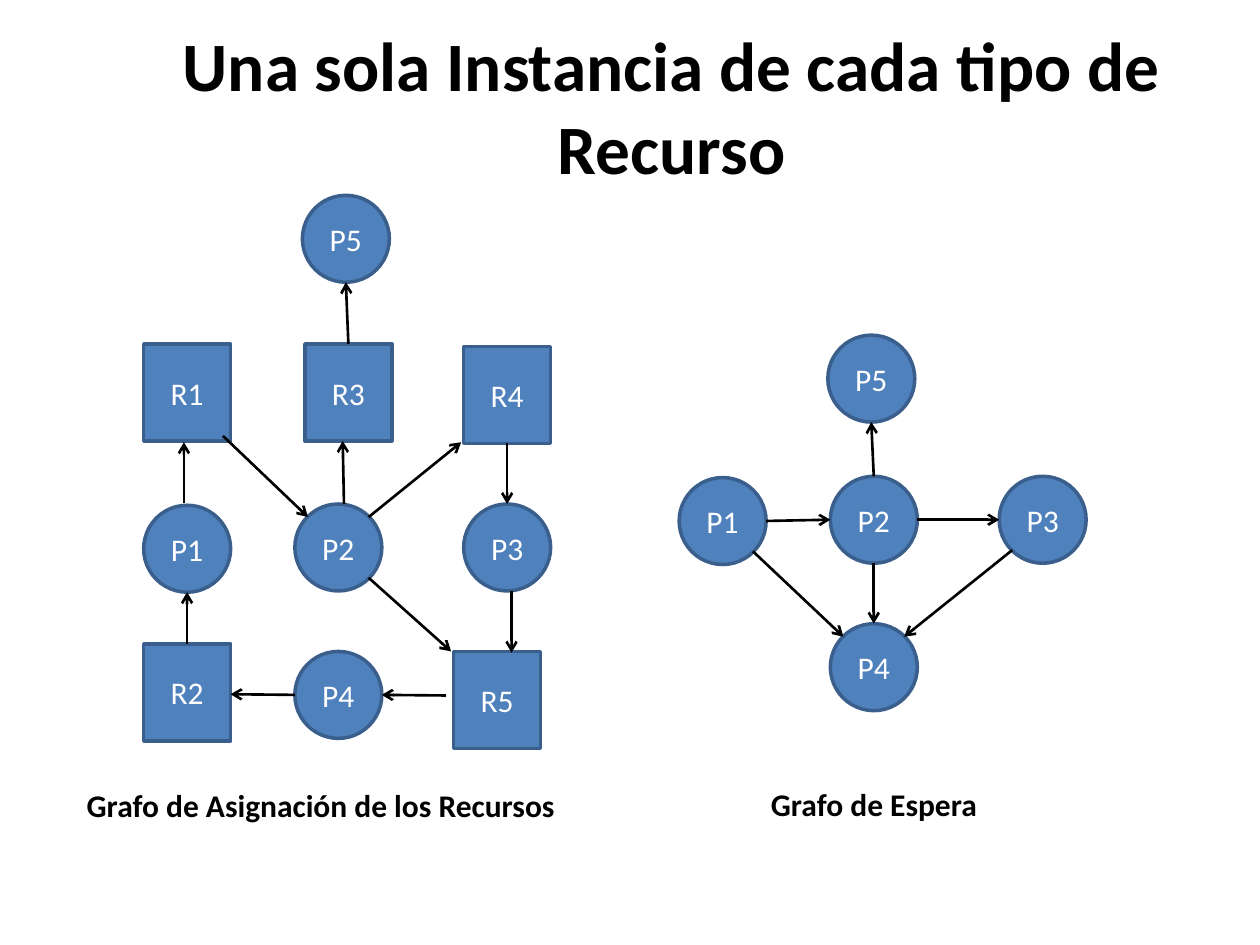
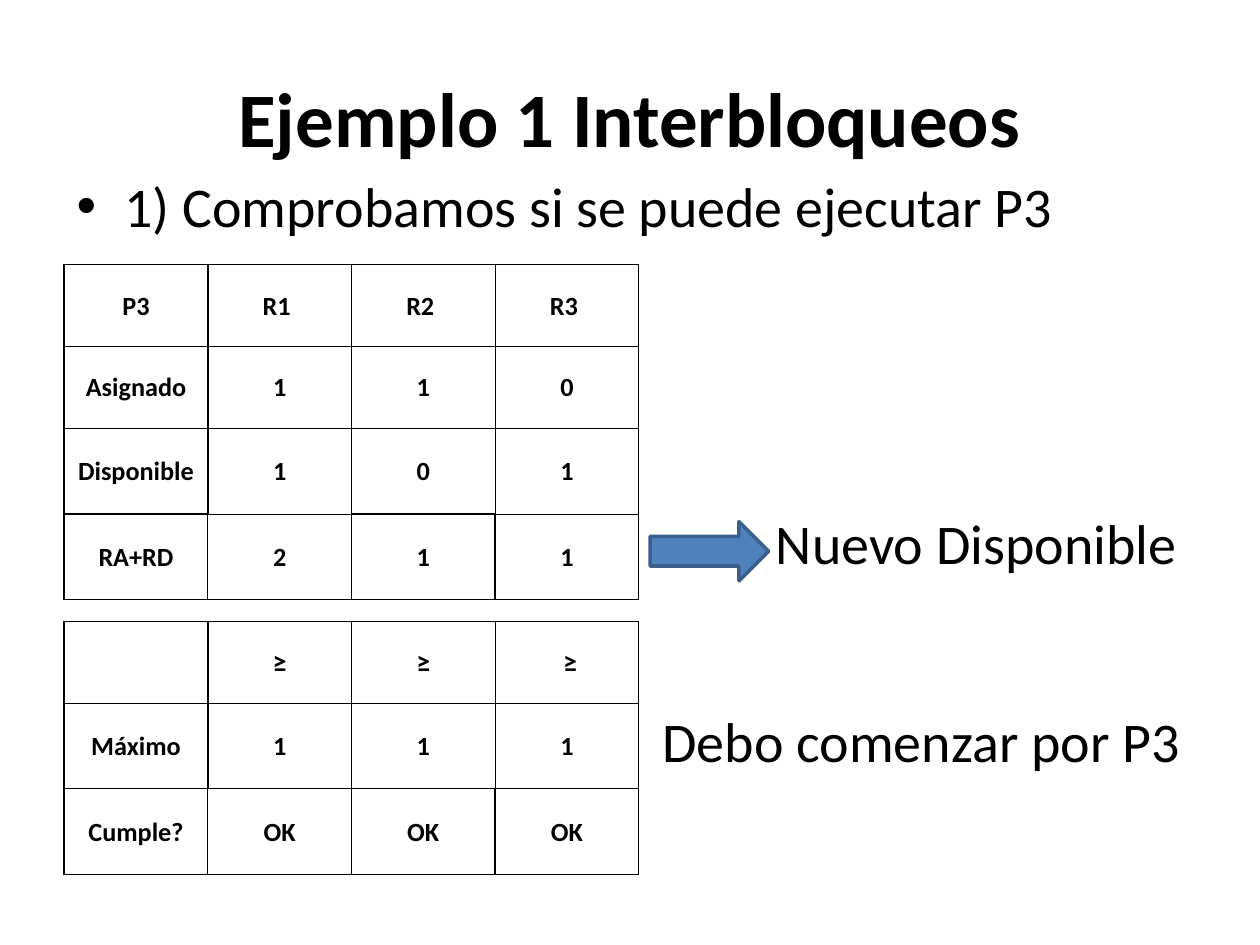
from lxml import etree
from pptx import Presentation
from pptx.dml.color import RGBColor
from pptx.enum.shapes import MSO_CONNECTOR, MSO_SHAPE
from pptx.enum.text import MSO_ANCHOR, PP_ALIGN
from pptx.oxml.ns import qn
from pptx.util import Inches, Pt

COLORS = {"text": "000000", "white": "FFFFFF", "fill": "4F81BD", "outline": "3A5F8C"}
FONT = "Calibri"
NODE_W = 0.69
RESOURCE_H = 0.77
DIAGONAL = 0.35  # share of a circle's diameter from its centre to a 45° point
SIDES = {"t": (0, -0.5), "b": (0, 0.5), "l": (-0.5, 0), "r": (0.5, 0),
         "tl": (-DIAGONAL, -DIAGONAL), "tr": (DIAGONAL, -DIAGONAL),
         "bl": (-DIAGONAL, DIAGONAL), "br": (DIAGONAL, DIAGONAL)}


def rgb(name):
    return RGBColor.from_string(COLORS[name])


def write(tf, text, size=18, bold=False, color="text", align=PP_ALIGN.LEFT,
          anchor=MSO_ANCHOR.TOP, bullet=False):
    tf.word_wrap = True
    tf.vertical_anchor = anchor
    p = tf.paragraphs[0]
    p.alignment = align
    if bullet:
        pPr = p._p.get_or_add_pPr()
        pPr.set("marL", str(Inches(0.38)))
        pPr.set("indent", str(-Inches(0.38)))
        etree.SubElement(pPr, qn("a:buFont"), typeface="Arial")
        etree.SubElement(pPr, qn("a:buChar"), char="•")
    r = p.add_run()
    r.text = text
    r.font.name, r.font.size, r.font.bold = FONT, Pt(size), bold
    r.font.color.rgb = rgb(color)


def set_border(cell, side, width):
    ln = etree.SubElement(cell._tc.get_or_add_tcPr(), qn(f"a:ln{side}"), w=str(Pt(width)))
    fill = etree.SubElement(ln, qn("a:solidFill"))
    etree.SubElement(fill, qn("a:srgbClr"), val=COLORS["text"])


class Deck:
    def __init__(self):
        self.prs = Presentation()
        self.prs.slide_width, self.prs.slide_height = Inches(10), Inches(7.5)
        self.s = None

    def slide(self, title, x, y, size):
        self.s = self.prs.slides.add_slide(self.prs.slide_layouts[6])
        self.text(title, x, y, 9, 1.25, size=size, bold=True,
                  align=PP_ALIGN.CENTER, anchor=MSO_ANCHOR.MIDDLE)

    def text(self, text, x, y, w, h, **style):
        sp = self.s.shapes.add_textbox(Inches(x), Inches(y), Inches(w), Inches(h))
        write(sp.text_frame, text, **style)

    def shape(self, kind, x, y, w, h, text=None):
        sp = self.s.shapes.add_shape(kind, Inches(x), Inches(y), Inches(w), Inches(h))
        sp.shadow.inherit = False
        sp.fill.solid()
        sp.fill.fore_color.rgb = rgb("fill")
        sp.line.color.rgb = rgb("outline")
        sp.line.width = Pt(2)
        if text:
            write(sp.text_frame, text, color="white", align=PP_ALIGN.CENTER,
                  anchor=MSO_ANCHOR.MIDDLE)

    def arrow(self, start, end):
        points = [Inches(v) for v in (*start, *end)]
        cn = self.s.shapes.add_connector(MSO_CONNECTOR.STRAIGHT, *points)
        cn.line.color.rgb = rgb("text")
        cn.line.width = Pt(1.5)
        etree.SubElement(cn.line._get_or_add_ln(), qn("a:tailEnd"), type="arrow")
        etree.SubElement(cn._element.spPr, qn("a:effectLst"))

    def graph(self, nodes, edges):
        """Draw P circles and R boxes; an edge end is a point or a "node side" pair."""
        def height(name):
            return NODE_W if name.startswith("P") else RESOURCE_H

        def point(end):
            if isinstance(end, tuple):
                return end
            name, side = end.split()
            (x, y), (dx, dy) = nodes[name], SIDES[side]
            return x + NODE_W * (0.5 + dx), y + height(name) * (0.5 + dy)

        for name, (x, y) in nodes.items():
            kind = MSO_SHAPE.OVAL if name.startswith("P") else MSO_SHAPE.RECTANGLE
            self.shape(kind, x, y, NODE_W, height(name), name)
        for start, end in edges:
            self.arrow(point(start), point(end))

    def table(self, x, y, col_w, row_heights, rows):
        n_cols, last = len(rows[0]), len(rows) - 1
        tbl = self.s.shapes.add_table(len(rows), n_cols, Inches(x), Inches(y),
                                      Inches(col_w * n_cols),
                                      Inches(sum(row_heights))).table
        tbl.first_row = tbl.horz_banding = False
        for col in tbl.columns:
            col.width = Inches(col_w)
        for i, row in enumerate(rows):
            tbl.rows[i].height = Inches(row_heights[i])
            thick_verticals = (0, 2, 3) if i == last else (0, 1)
            for j, text in enumerate(row):
                cell = tbl.cell(i, j)
                thick = {"L": j in thick_verticals,
                         "R": j + 1 in thick_verticals,
                         "T": i == last and j in (0, 2),
                         "B": i == last or (i == last - 1 and j in (0, 2))}
                for side, is_thick in thick.items():
                    set_border(cell, side, 1 if is_thick else 0.5)
                cell.fill.background()
                cell.margin_left = cell.margin_right = cell.margin_top = Inches(0.01)
                cell.margin_bottom = 0
                cell.vertical_anchor = MSO_ANCHOR.MIDDLE
                if text:
                    write(cell.text_frame, text, size=16 if "≥" in text else 15, bold=True,
                          align=PP_ALIGN.CENTER, anchor=None)


def resource_slide(deck):
    deck.slide("Una sola Instancia de cada tipo de Recurso", 0.83, 0.21, 39.6)
    deck.graph(
        {"P1": (1.14, 4.01), "P2": (2.34, 4), "P3": (3.68, 4), "P4": (2.34, 5.17),
         "P5": (2.4, 1.55), "R1": (1.14, 2.73), "R2": (1.14, 5.11),
         "R3": (2.42, 2.73), "R4": (3.68, 2.75), "R5": (3.6, 5.17)},
        [((2.73, 4), (2.72, 3.5)), ("P2 tr", (3.66, 3.51)), ("P2 br", (3.58, 5.17)),
         ((1.77, 3.46), "P2 tl"), ("R2 t", "P1 b"), ((1.46, 3.99), (1.46, 3.51)),
         ("R4 b", "P3 t"), ((4.06, 4.69), (4.06, 5.18)), ("R3 t", "P5 b"),
         ("P4 l", (1.83, 5.51)), ((3.54, 5.52), "P4 r")])
    deck.graph(
        {"P1": (5.39, 3.79), "P2": (6.59, 3.78), "P3": (7.93, 3.78),
         "P4": (6.59, 4.95), "P5": (6.57, 2.66)},
        [("P1 br", "P4 tl"), ("P3 bl", "P4 tr"), ("P2 t", "P5 b"),
         ("P2 b", "P4 t"), ("P1 r", "P2 l"), ("P2 r", "P3 l")])
    deck.text("Grafo de Asignación de los Recursos", 0.59, 6.19, 4.33, 0.4, bold=True)
    deck.text("Grafo de Espera", 6.02, 6.18, 1.89, 0.4, bold=True)


def deadlock_slide(deck):
    deck.slide("Ejemplo 1 Interbloqueos", 0.5, 0.3, 44)
    deck.text("1) Comprobamos si se puede ejecutar P3", 0.51, 1.31, 8.9, 0.87,
              size=32, bullet=True)
    deck.table(0.51, 2.1, 1.14, [0.65, 0.65, 0.68, 0.68],
               [["P3", "R1 ", "R2 ", "R3 "],
                ["Asignado", "1", "1", "0"],
                ["Disponible", "1", "0", "1"],
                ["RA+RD", "2", "1", "1"]])
    deck.table(0.51, 4.93, 1.14, [0.65, 0.68, 0.68],
               [["", "≥", "≥", " ≥"],
                ["Máximo", "1", "1", "1"],
                ["Cumple?", "OK", "OK", "OK"]])
    deck.shape(MSO_SHAPE.RIGHT_ARROW, 5.16, 4.14, 0.94, 0.47)
    deck.text("Nuevo Disponible", 6.06, 3.99, 3.66, 1.34, size=32)
    deck.text("Debo comenzar por P3", 5.16, 5.56, 4.49, 1.34, size=32)


def main():
    deck = Deck()
    resource_slide(deck)
    deadlock_slide(deck)
    deck.prs.save("out.pptx")


if __name__ == "__main__":
    main()
